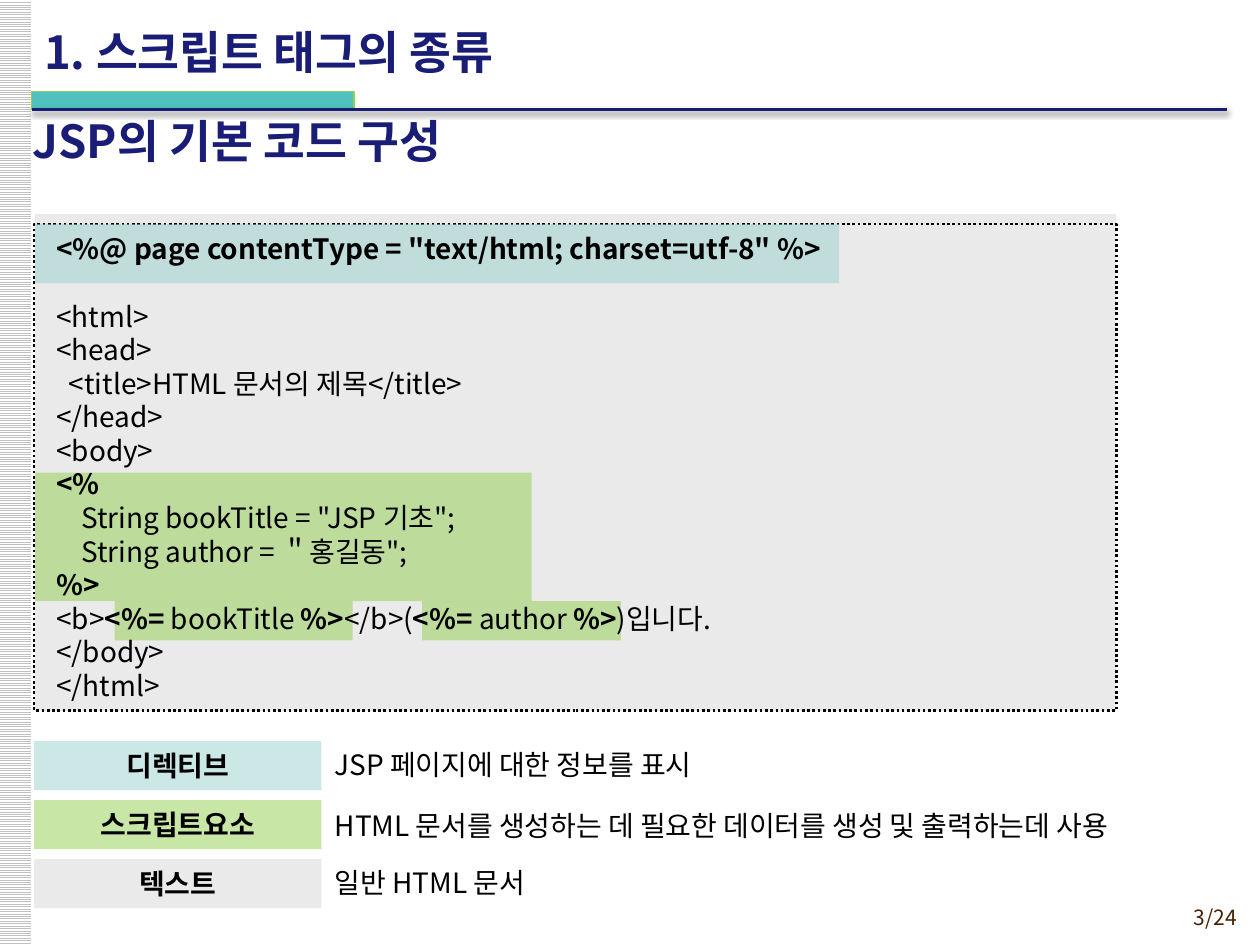
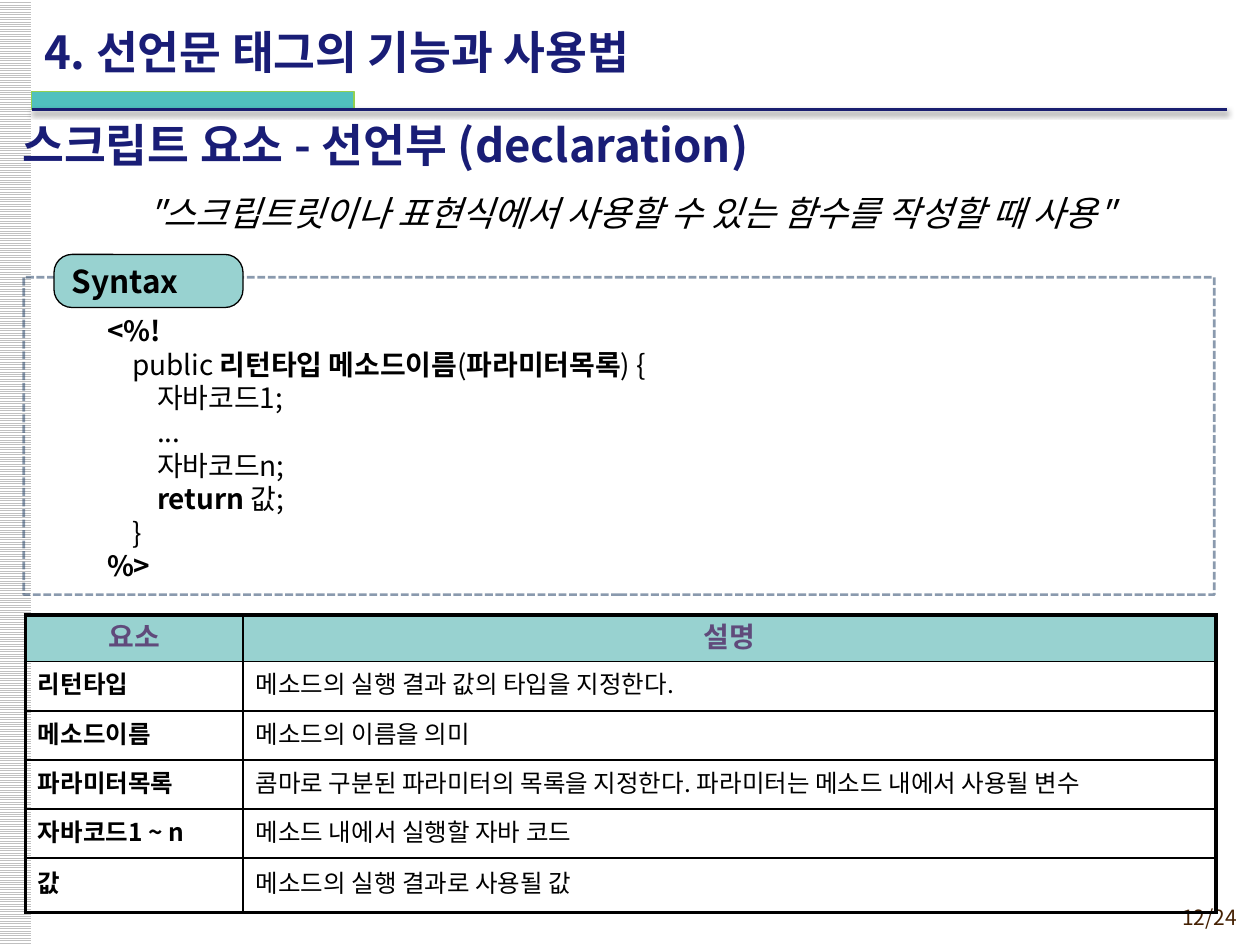
from lxml.etree import SubElement
from pptx import Presentation
from pptx.dml.color import RGBColor
from pptx.enum.dml import MSO_LINE_DASH_STYLE as Dash, MSO_PATTERN_TYPE as Pattern
from pptx.enum.shapes import MSO_CONNECTOR_TYPE as Connector, MSO_SHAPE as Shape
from pptx.enum.text import MSO_ANCHOR as Anchor, PP_ALIGN as Align
from pptx.oxml.ns import qn
from pptx.util import Cm, Pt

FONT = "Noto Sans CJK KR"
LINE_RATIO = 1.2
NAVY, RULE, TEAL, MINT = "191D76", "191E70", "50C1BE", "98D2D0"
GREEN, GRAY, STRIPE, BROWN = "92D050", "EAEAEA", "C0C0C0", "452103"
BLACK, WHITE, SLATE, PURPLE = "000000", "FFFFFF", "17375E", "604A7B"
HEADING = {"size": 26, "color": NAVY, "bold": True}

PAGE_CODE = [
    '**<%@ page contentType = "text/html; charset=utf-8" %>**',
    "<html>",
    "<head>",
    "  <title>HTML 문서의 제목</title>",
    "</head>",
    "<body>",
    "**<%**",
    '    String bookTitle = "JSP 기초";',
    '    String author = ＂홍길동";',
    "**%>**",
    "<b>**<%= **bookTitle **%>**</b>(**<%=** author **%>**)입니다.",
    "</body>",
    "</html>",
]
METHOD_CODE = [
    "**<%!**",
    "    public **리턴타입 메소드이름**(**파라미터목록**) {",
    "        자바코드1;",
    "        ...",
    "        자바코드n;",
    "        **return **값;",
    "    }",
    "**%>**",
]
HIGHLIGHTS = [
    (8.51, 12.12, 4.01, 0.79, GREEN),
    (2.31, 12.12, 4.8, 0.79, GREEN),
    (0.71, 9.53, 10.01, 2.59, GREEN),
    (0.71, 4.52, 16.21, 1.19, MINT),
]
LEGEND = [
    ("디렉티브", MINT, 50, "JSP 페이지에 대한 정보를 표시", 0),
    ("스크립트요소", GREEN, 50,
     "HTML 문서를 생성하는 데 필요한 데이터를 생성 및 출력하는데 사용", 0.05),
    ("텍스트", GRAY, 100, "일반 HTML 문서", 0),
]
ELEMENTS = [
    ("요소", "설명"),
    ("리턴타입", "메소드의 실행 결과 값의 타입을 지정한다."),
    ("메소드이름", "메소드의 이름을 의미"),
    ("파라미터목록", "콤마로 구분된 파라미터의 목록을 지정한다. 파라미터는 메소드 내에서 사용될 변수"),
    ("자바코드1 ~ n", "메소드 내에서 실행할 자바 코드"),
    ("값", "메소드의 실행 결과로 사용될 값"),
]


def rgb(color):
    """Turn a hex string into a colour."""
    return RGBColor.from_string(color)


def box(left, top, width, height):
    """Turn four centimetre values into lengths."""
    return [Cm(value) for value in (left, top, width, height)]


def set_alpha(fill_parent, percent):
    """Make the solid fill under an element partly transparent."""
    color = fill_parent.find(qn("a:solidFill"))[0]
    SubElement(color, qn("a:alpha")).set("val", str(percent * 1000))


def write(frame, lines, size=16, color=BLACK, bold=False, italic=False,
          align=Align.LEFT, gaps=None):
    """Write lines into a text frame; ** switches the weight."""
    for index, line in enumerate(lines):
        paragraph = frame.paragraphs[0] if index == 0 else frame.add_paragraph()
        layout = {"alignment": align, "line_spacing": Pt(size * LINE_RATIO)}
        if gaps and index in gaps:
            layout["space_before"] = Pt(gaps[index])
        for name, value in layout.items():
            setattr(paragraph, name, value)
        for turn, piece in enumerate(line.split("**")):
            if not piece:
                continue
            run = paragraph.add_run()
            run.text = piece
            look = {"name": FONT, "size": Pt(size),
                    "bold": bold != bool(turn % 2), "italic": italic}
            for name, value in look.items():
                setattr(run.font, name, value)
            run.font.color.rgb = rgb(color)
            east_asian = SubElement(run.font._element, qn("a:ea"))
            east_asian.set("typeface", FONT)


def add_text(slide, place, lines, anchor=Anchor.TOP, **style):
    """Add a wrapping text box."""
    frame = slide.shapes.add_textbox(*box(*place)).text_frame
    for name, value in {"word_wrap": True, "vertical_anchor": anchor}.items():
        setattr(frame, name, value)
    write(frame, lines, **style)


def add_block(slide, place, fill=None, alpha=100, line=None, width=0.75,
              dash=None, line_alpha=100, kind=Shape.RECTANGLE):
    """Add a flat preset shape with an optional fill and outline."""
    block = slide.shapes.add_shape(kind, *box(*place))
    block.shadow.inherit = False
    if fill:
        block.fill.solid()
        block.fill.fore_color.rgb = rgb(fill)
        if alpha < 100:
            set_alpha(block._element.spPr, alpha)
    else:
        block.fill.background()
    if line:
        block.line.color.rgb = rgb(line)
        block.line.width = Pt(width)
        if line_alpha < 100:
            set_alpha(block.line._get_or_add_ln(), line_alpha)
        if dash:
            block.line.dash_style = dash
    else:
        block.line.fill.background()
    return block


def add_label(block, text, **style):
    """Write one bold, vertically centred line inside a block."""
    block.text_frame.vertical_anchor = Anchor.MIDDLE
    write(block.text_frame, [text], bold=True, **style)


def add_title_rule(slide):
    """Draw the shadowed rule below the title."""
    rule = slide.shapes.add_connector(
        Connector.STRAIGHT, Cm(0.64), Cm(2.21), Cm(24.74), Cm(2.21))
    rule.line.color.rgb = rgb(RULE)
    rule.line.width = Pt(2)
    effects = SubElement(rule._element.spPr, qn("a:effectLst"))
    shadow = SubElement(effects, qn("a:outerShdw"))
    settings = {"blurRad": Pt(3.1), "dist": Pt(1.6), "dir": 90 * 60000, "rotWithShape": 0}
    for name, value in settings.items():
        shadow.set(name, str(value))
    tint = SubElement(shadow, qn("a:srgbClr"))
    tint.set("val", BLACK)
    SubElement(tint, qn("a:alpha")).set("val", "38000")


def start_slide(deck, title, page):
    """Add a slide with the side stripe, page number and title band."""
    slide = deck.slides.add_slide(deck.slide_layouts[6])
    stripe = add_block(slide, (-0.03, 0, 0.66, 19.05))
    stripe.fill.patterned()
    stripe.fill.pattern = Pattern.LIGHT_HORIZONTAL
    stripe.fill.fore_color.rgb = rgb(STRIPE)
    stripe.fill.back_color.rgb = rgb(WHITE)
    add_text(slide, (22.5, 18.11, 2.69, 0.74), [f"{page}/24"],
             size=12, color=BROWN, align=Align.RIGHT)
    add_block(slide, (0.64, 1.85, 6.5, 0.36), TEAL, line=GREEN)
    add_title_rule(slide)
    add_text(slide, (0.64, 0.23, 21.01, 1.6), [title], Anchor.MIDDLE, **HEADING)
    return slide


def add_border(cell, side, width):
    """Draw one solid black cell border."""
    border = SubElement(cell._tc.get_or_add_tcPr(), qn(f"a:ln{side}"))
    border.set("w", str(Pt(width)))
    fill = SubElement(border, qn("a:solidFill"))
    SubElement(fill, qn("a:srgbClr")).set("val", BLACK)


def add_grid(slide, left, top, columns, heights, rows):
    """Add a table with a tinted header and a heavy outer frame."""
    place = box(left, top, sum(columns), sum(heights))
    table = slide.shapes.add_table(len(rows), len(columns), *place).table
    table.first_row = table.horz_banding = False
    for column, width in zip(table.columns, columns):
        column.width = Cm(width)
    for r, (row, height) in enumerate(zip(rows, heights)):
        table.rows[r].height = Cm(height)
        for c, text in enumerate(row):
            cell = table.cell(r, c)
            cell.vertical_anchor = Anchor.MIDDLE
            outer = {"L": c == 0, "R": c == len(row) - 1,
                     "T": r == 0, "B": r == len(rows) - 1}
            for side, heavy in outer.items():
                add_border(cell, side, 2.25 if heavy else 1)
            if r == 0:
                cell.fill.solid()
                cell.fill.fore_color.rgb = rgb(MINT)
                write(cell.text_frame, [text], color=PURPLE, bold=True, align=Align.CENTER)
            else:
                cell.fill.background()
                write(cell.text_frame, [text], size=14, bold=c == 0)


def build_code_structure(deck):
    """Build the slide on the basic structure of a JSP page."""
    slide = start_slide(deck, "1. 스크립트 태그의 종류", 3)
    add_block(slide, (0.71, 4.32, 21.79, 10.01), GRAY)
    add_block(slide, (0.69, 4.52, 21.82, 9.8), line=BLACK, width=1.5, dash=Dash.ROUND_DOT)
    for *place, color in HIGHLIGHTS:
        add_block(slide, place, color, alpha=50)
    add_text(slide, (0.41, 1.93, 23.11, 1.8), ["JSP의 기본 코드 구성"],
             Anchor.MIDDLE, **HEADING)
    add_text(slide, (0.89, 4.55, 17.37, 10.52), PAGE_CODE, gaps={1: 16 * LINE_RATIO})
    for index, (term, color, alpha, meaning, drop) in enumerate(LEGEND):
        top = 14.94 + index * 1.19
        key = add_block(slide, (0.69, top, 5.79, 0.99), color, alpha)
        add_label(key, term, align=Align.CENTER)
        add_text(slide, (6.5, top + drop, 17.83, 0.94), [meaning])


def build_declaration(deck):
    """Build the slide on the declaration tag."""
    slide = start_slide(deck, "4. 선언문 태그의 기능과 사용법", 12)
    add_text(slide, (0.2, 2.13, 23.11, 1.57), ["스크립트 요소 - 선언부 (declaration)"],
             Anchor.MIDDLE, **HEADING)
    add_text(slide, (0.51, 3.73, 24.41, 1.09),
             ['"스크립트릿이나 표현식에서 사용할 수 있는 함수를 작성할 때 사용"'],
             size=20, italic=True, align=Align.CENTER)
    add_block(slide, (0.48, 5.59, 24, 6.4), line=SLATE, width=1.5,
              dash=Dash.SQUARE_DOT, line_alpha=50)
    syntax = add_block(slide, (1.09, 5.13, 3.81, 1.07), MINT, line=BLACK,
                       kind=Shape.ROUNDED_RECTANGLE)
    syntax.adjustments[0] = 0.34
    add_label(syntax, "Syntax", size=18)
    add_text(slide, (1.91, 6.2, 12.47, 5.69), METHOD_CODE)
    add_grid(slide, 0.51, 12.4, [4.39, 19.61], [0.94] + [0.99] * 4 + [1.09], ELEMENTS)


def main():
    """Build the deck and save it."""
    deck = Presentation()
    deck.slide_width, deck.slide_height = Cm(25.4), Cm(19.05)
    build_code_structure(deck)
    build_declaration(deck)
    deck.save("out.pptx")


if __name__ == "__main__":
    main()
